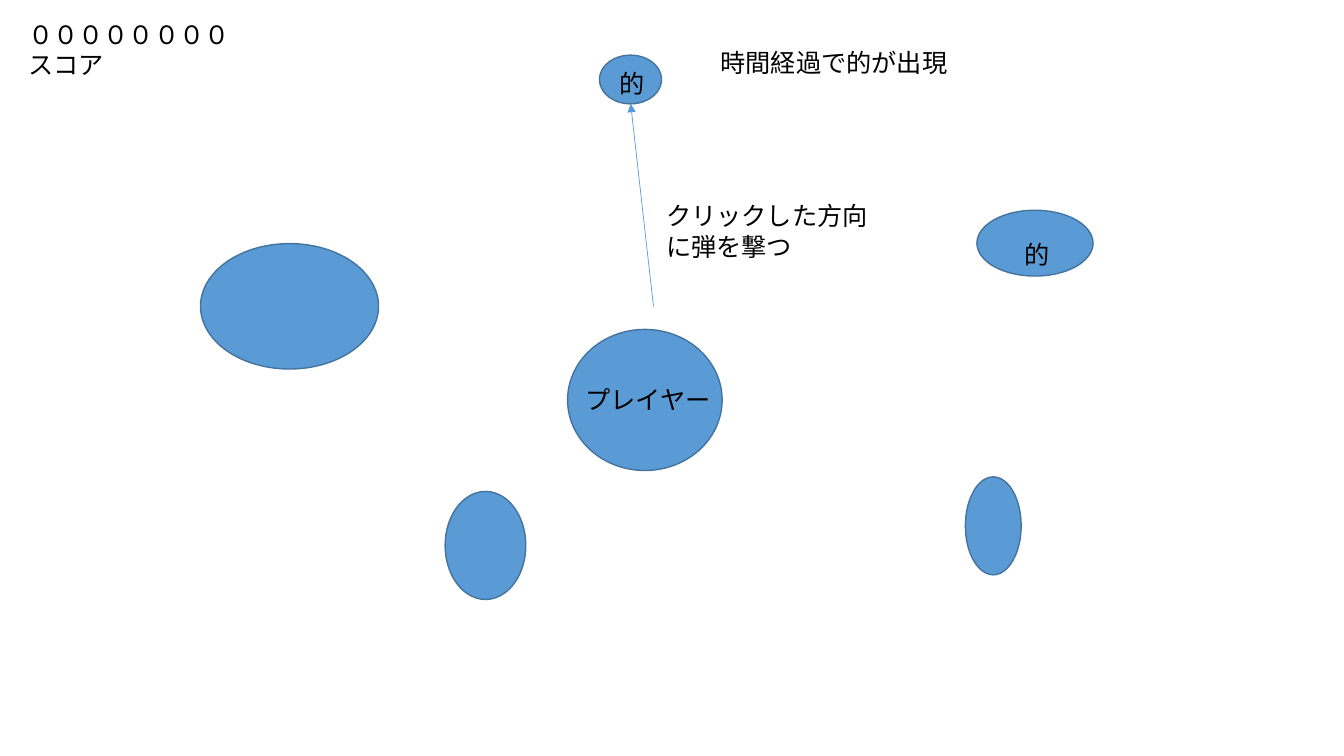
import pptx
import pptx.dml.color
import pptx.enum.shapes
import pptx.enum.text
import pptx.oxml
import pptx.oxml.ns
import pptx.util

Pt = pptx.util.Pt
BLUE = pptx.dml.color.RGBColor(0x5B, 0x9B, 0xD5)
OUTLINE = pptx.dml.color.RGBColor(0x43, 0x73, 0x9E)
BLACK = pptx.dml.color.RGBColor(0, 0, 0)
FONT = "Noto Sans CJK JP"


def add_element(parent, xml):
    """Append a DrawingML element, given as its tag and attributes."""
    namespace = pptx.oxml.ns.nsdecls("a")
    parent.append(pptx.oxml.parse_xml(f"<a:{xml} {namespace}/>"))


def add_label(left, top, width, height, lines):
    """Add a wrapped text box with one paragraph per line."""
    label = slide.shapes.add_textbox(Pt(left), Pt(top), Pt(width), Pt(height))
    frame = label.text_frame
    frame.word_wrap = True
    frame.auto_size = pptx.enum.text.MSO_AUTO_SIZE.SHAPE_TO_FIT_TEXT
    for index, line in enumerate(lines):
        paragraph = frame.add_paragraph() if index else frame.paragraphs[0]
        run = paragraph.add_run()
        run.text = line
        run.font.size = Pt(18)
        run.font.name = FONT
        run.font.color.rgb = BLACK
        add_element(run.font._element, f'ea typeface="{FONT}"')


presentation = pptx.Presentation()
presentation.slide_width = Pt(960)
presentation.slide_height = Pt(540)
slide = presentation.slides.add_slide(presentation.slide_layouts[6])

player = (405.4, 235.3, 110.4, 100.8)
targets = [
    (428.2, 39.4, 44.3, 34.8),
    (697.8, 150.2, 83, 47),
    (689.6, 340.6, 39.8, 70),
    (318, 351, 57.6, 77.2),
    (143.2, 174, 127.2, 89.6),
]
for left, top, width, height in [player, *targets]:
    ellipse = slide.shapes.add_shape(
        pptx.enum.shapes.MSO_SHAPE.OVAL, Pt(left), Pt(top), Pt(width), Pt(height))
    ellipse.shadow.inherit = False
    ellipse.fill.solid()
    ellipse.fill.fore_color.rgb = BLUE
    ellipse.line.color.rgb = OUTLINE
    ellipse.line.width = Pt(1)

shot = slide.shapes.add_connector(
    pptx.enum.shapes.MSO_CONNECTOR.STRAIGHT, Pt(466.8), Pt(219), Pt(450.5), Pt(74.2))
shot.line.color.rgb = BLUE
shot.line.width = Pt(0.5)
add_element(shot.line._get_or_add_ln(), 'tailEnd type="triangle"')
add_element(shot._element.spPr, "effectLst")

add_label(411.1, 270.9, 110.9, 29.1, ["プレイヤー"])
for left, top in [(435.6, 45.4), (724.6, 167.6)]:
    add_label(left, top, 30.2, 29.1, ["的"])
add_label(507.6, 30.4, 192.2, 29.1, ["時間経過で的が出現"])
add_label(468.7, 139.9, 159.8, 50.9, ["クリックした方向に弾を撃つ"])
add_label(13, 10, 260.6, 50.9, ["００００００００", "スコア"])

presentation.save("out.pptx")
